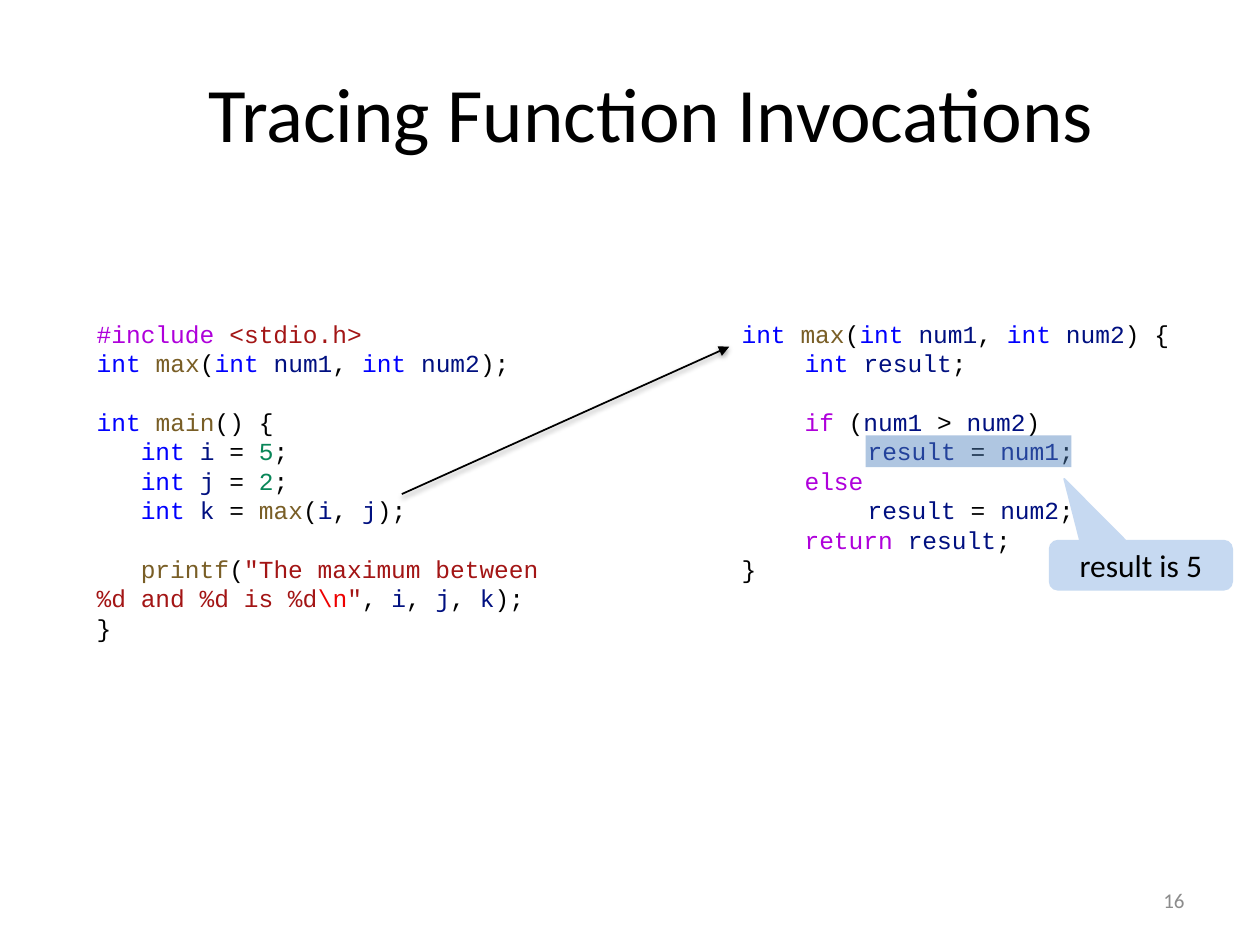
from lxml.etree import SubElement
from pptx import Presentation
from pptx.dml.color import RGBColor
from pptx.enum.shapes import MSO_CONNECTOR as Connector, MSO_SHAPE as Shape
from pptx.enum.text import MSO_ANCHOR as Anchor, PP_ALIGN as Align
from pptx.oxml.ns import qn
from pptx.util import Cm, Pt

COLORS = {
    "plain": "000000", "type": "0000FF", "control": "AF00DB", "function": "795E26",
    "variable": "001080", "number": "098658", "string": "A31515", "escape": "EE0000",
    "page": "8C8C8C", "highlight": "4F81BD", "callout": "C6D9F1",
}
TOKENS = {
    "type": ["int"],
    "control": ["#include", "if", "else", "return"],
    "function": ["max", "main", "printf"],
    "variable": ["num1", "num2", "result", "i", "j", "k"],
    "number": ["5", "2"],
    "string": ["<stdio.h>", '"The maximum between \t%d and %d is %d', '"'],
    "escape": ["\\n"],
}
KIND = {token: kind for kind, tokens in TOKENS.items() for token in tokens}

TITLE = "Tracing Function Invocations"
PAGE = "16"
RESULT = "result is 5"

# "|" separates the coloured tokens; an empty line becomes space before the next one
MAIN_CODE = r'''#include |<stdio.h>
int |max|(|int |num1|, |int |num2|);

int |main|() {
   int |i| = |5|;
   int |j| = |2|;
   int |k| = |max|(|i|, |j|);

   printf|(|"The maximum between <tab>%d and %d is %d|\n|"|, |i|, |j|, |k|);
}'''.replace("<tab>", "\t")
MAX_CODE = '''int |max|(|int |num1|, |int |num2|) {
\tint |result|;

\tif| (|num1| > |num2|)
\t\tresult| = |num1|;
\telse
\t\tresult| = |num2|;
\treturn |result|;
}'''

LINE_HEIGHT = Pt(16.8)
TAB = Cm(1.27)
CODE_TOP = 6.3


def color(name):
    return RGBColor.from_string(COLORS[name])


def write(paragraph, text, ink="plain", **formats):
    run = paragraph.add_run()
    run.text = text
    run.font.color.rgb = color(ink)
    for key, value in formats.items():
        setattr(run.font, key, value)


def text_frame(slide, left, top, width, height, anchor=Anchor.TOP):
    frame = slide.shapes.add_textbox(Cm(left), Cm(top), Cm(width), Cm(height)).text_frame
    frame.word_wrap = True
    frame.vertical_anchor = anchor
    return frame


def label(frame, text, size, align, ink="plain"):
    paragraph = frame.paragraphs[0]
    paragraph.alignment = align
    write(paragraph, text, ink, name="Calibri", size=Pt(size))


def add_code(slide, code, left, width, height):
    frame = text_frame(slide, left, CODE_TOP, width, height)
    paragraph, gap = frame.paragraphs[0], 0
    for number, line in enumerate(code.split("\n")):
        if not line:
            gap = LINE_HEIGHT
            continue
        if number:
            paragraph = frame.add_paragraph()
        stops = SubElement(paragraph._p.get_or_add_pPr(), qn("a:tabLst"))
        for step in (1, 2):
            SubElement(stops, qn("a:tab"), pos=str(step * TAB), algn="l")
        paragraph.line_spacing = LINE_HEIGHT
        if gap:
            paragraph.space_before = gap
        gap = 0
        for token in line.split("|"):
            write(paragraph, token, KIND.get(token.strip(), "plain"),
                  name="Courier New", size=Pt(14))


def add_block(slide, preset, fill, left, top, width, height):
    block = slide.shapes.add_shape(preset, Cm(left), Cm(top), Cm(width), Cm(height))
    block.shadow.inherit = False
    block.fill.solid()
    block.fill.fore_color.rgb = color(fill)
    return block


def add_arrow(slide, start, end):
    arrow = slide.shapes.add_connector(Connector.STRAIGHT, *map(Cm, start + end))
    arrow.line.color.rgb = color("plain")
    arrow.line.width = Pt(1)
    SubElement(arrow.line._get_or_add_ln(), qn("a:tailEnd"), type="triangle")
    effects = SubElement(arrow._element.spPr, qn("a:effectLst"))
    shadow = SubElement(effects, qn("a:outerShdw"), blurRad=str(Pt(3.1)),
                        dist=str(Pt(1.6)), dir="5400000", rotWithShape="0")
    ink = SubElement(shadow, qn("a:srgbClr"), val=COLORS["plain"])
    SubElement(ink, qn("a:alpha"), val="38000")


def main():
    deck = Presentation()
    deck.slide_width, deck.slide_height = Cm(25.4), Cm(19.05)
    slide = deck.slides.add_slide(deck.slide_layouts[6])

    label(text_frame(slide, 18.2, 17.65, 5.93, 1.01, Anchor.MIDDLE),
          PAGE, 12, Align.RIGHT, "page")
    label(text_frame(slide, 1.7, 1.2, 22.86, 3.18), TITLE, 44, Align.CENTER)

    add_code(slide, MAIN_CODE, 1.7, 10.52, 6.83)
    add_code(slide, MAX_CODE, 14.7, 9.43, 5.61)

    highlight = add_block(slide, Shape.RECTANGLE, "highlight", 17.45, 8.78, 4.15, 0.64)
    highlight.line.fill.background()
    tint = highlight._element.spPr.find(qn("a:solidFill"))[0]
    SubElement(tint, qn("a:alpha"), val="45000")

    callout = add_block(slide, Shape.ROUNDED_RECTANGULAR_CALLOUT, "callout",
                        21.16, 10.9, 3.68, 0.99)
    callout.line.color.rgb = color("callout")
    callout.line.width = Pt(1)
    for index, value in enumerate((-0.42, -1.76, 0.17)):
        callout.adjustments[index] = value
    callout.text_frame.vertical_anchor = Anchor.MIDDLE
    label(callout.text_frame, RESULT, 18, Align.CENTER)

    add_arrow(slide, (8.1, 9.96), (14.7, 6.99))
    deck.save("out.pptx")


if __name__ == "__main__":
    main()
